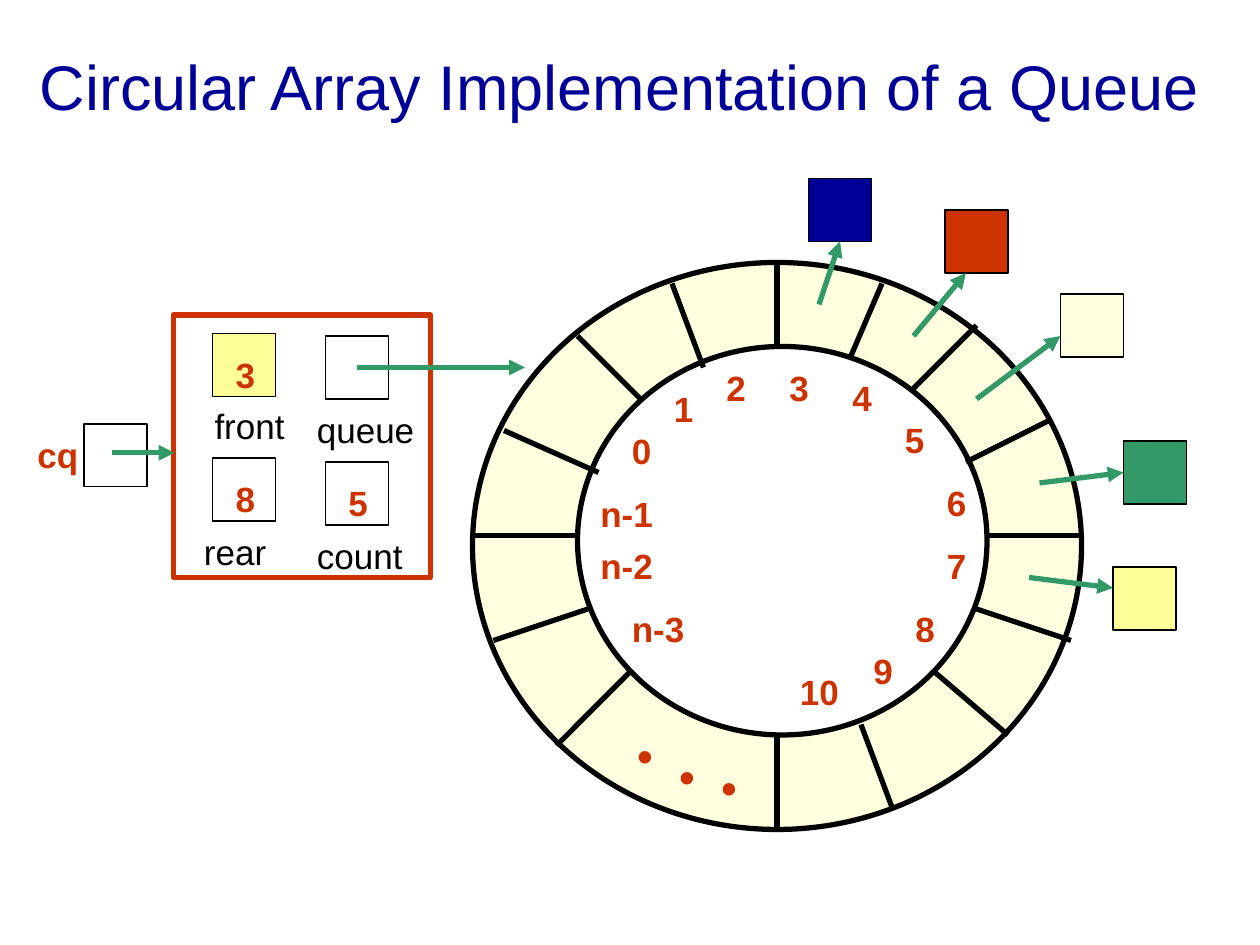
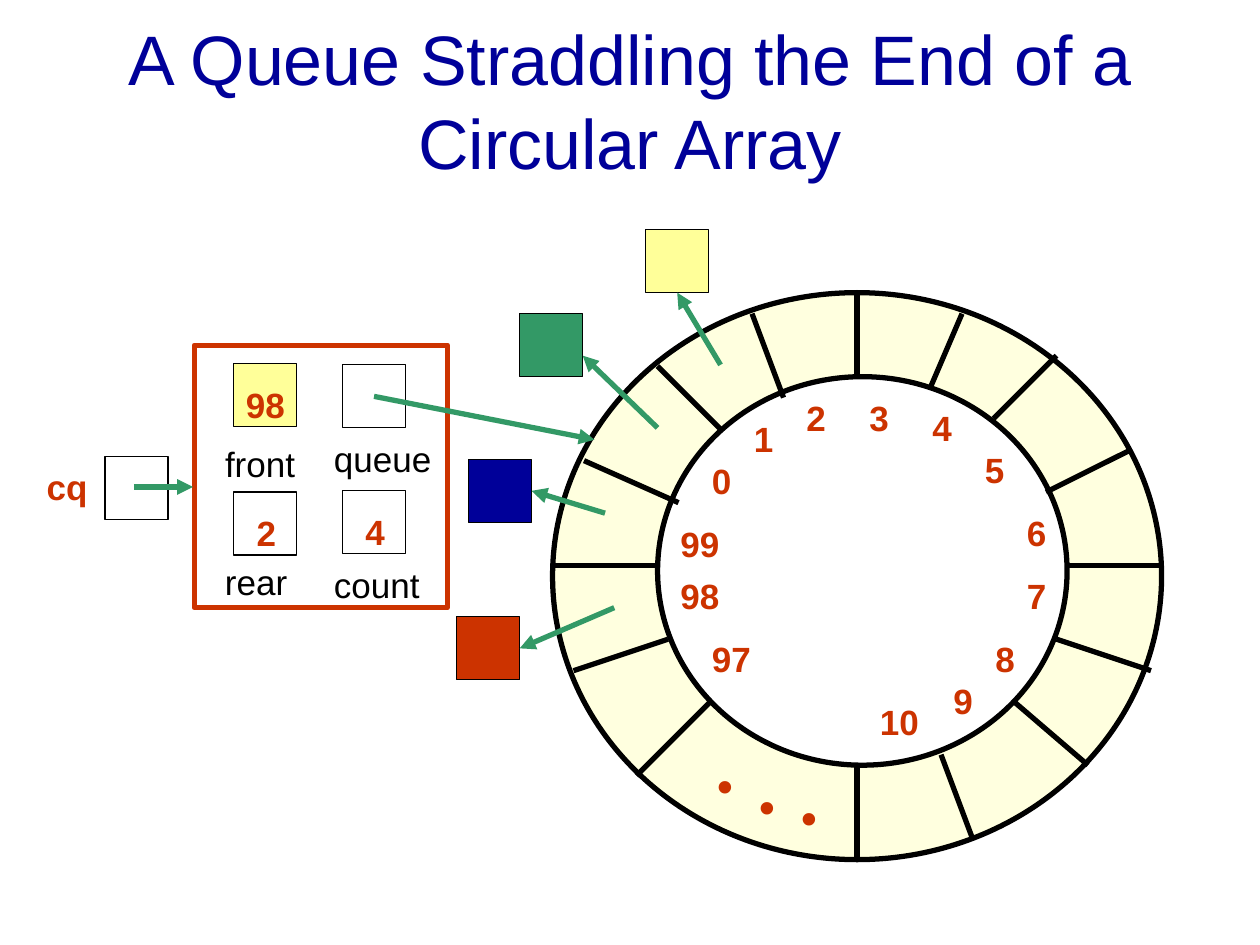
from dataclasses import dataclass

import pptx
import pptx.dml.color
import pptx.enum.shapes
import pptx.enum.text
import pptx.oxml.ns
import pptx.util
from lxml import etree

SHAPE = pptx.enum.shapes.MSO_SHAPE
STRAIGHT = pptx.enum.shapes.MSO_CONNECTOR.STRAIGHT
PX = 9525   # EMU in one px, 96 px to the inch
STEP = 8    # px in one step of the ring's grid
SQUARE = 48
LINE_HEIGHT = 41
BOTTOM, LEFT, RIGHT = 2, 1, 3   # connection sites of a rectangle


@dataclass(frozen=True)
class Theme:
    font: str = "Arial"
    dot_font: str = "Times New Roman"
    label_size: int = 20
    dot_size: int = 60
    thick: float = 3
    thin: float = 0.75
    black: str = "000000"
    white: str = "FFFFFF"
    navy: str = "000099"
    red: str = "CC3300"
    green: str = "339966"
    yellow: str = "FFFF99"
    ivory: str = "FFFFDF"


THEME = Theme()


@dataclass
class Field:
    """A square of the queue record, with its name and value."""
    name: str
    value: str
    square: tuple
    label: tuple
    label_width: int
    fill: str = None


@dataclass
class Item:
    """A queued object, with the arrow that reaches it from the ring."""
    fill: str
    square: tuple
    start: tuple
    tip: tuple
    side: int = None


# Ring geometry, in grid steps from the ring's top left corner
OUTER = (0, 0, 58, 54)
INNER = (10, 8, 39, 37)
SPOKES = [
    ((10, 26), (0, 26)), ((49, 26), (58, 26)), ((29, 0), (29, 8)),
    ((29, 45), (29, 54)), ((10, 7), (16, 13)), ((44, 39), (51, 45)),
    ((15, 39), (8, 46)), ((48, 6), (42, 12)), ((19, 2), (22, 10)),
    ((37, 44), (40, 52)), ((3, 16), (12, 20)), ((48, 33), (57, 36)),
    ((39, 2), (36, 9)), ((55, 15), (47, 19)), ((2, 36), (11, 33)),
]
INDEX_PLACES = [(14, 15), (18, 11), (23, 9), (29, 9), (35, 10), (40, 14),
                (44, 20), (44, 26), (41, 32), (37, 36), (30, 38)]
LAST_INDEX_PLACES = [(11, 21), (11, 26), (14, 32)]
DOT_PLACES = [(14, 36), (18, 38), (22, 39)]


def px(length):
    return pptx.util.Emu(length * PX)


def rgb(value):
    return pptx.dml.color.RGBColor.from_string(value)


def set_font(paragraph, size, color, name=THEME.font, bold=False):
    paragraph.font.name = name
    paragraph.font.size = pptx.util.Pt(size)
    paragraph.font.bold = bold
    paragraph.font.color.rgb = rgb(color)


def add_title(page, text, area, size):
    title = page.shapes.title
    title.left, title.top, title.width, title.height = map(px, area)
    frame = title.text_frame
    frame.text = text
    frame.word_wrap = True
    frame.auto_size = pptx.enum.text.MSO_AUTO_SIZE.NONE
    frame.vertical_anchor = pptx.enum.text.MSO_ANCHOR.MIDDLE
    para = frame.paragraphs[0]
    para.alignment = pptx.enum.text.PP_ALIGN.CENTER
    set_font(para, size, THEME.navy)


def add_text(page, text, place, width, color=THEME.red, bold=True,
             size=THEME.label_size, font=THEME.font, height=LINE_HEIGHT):
    box = page.shapes.add_textbox(*map(px, (*place, width, height)))
    frame = box.text_frame
    frame.word_wrap = True
    frame.margin_top = px(5 + size // 7)
    para = frame.paragraphs[0]
    para.text = text
    set_font(para, size, color, font, bold)


def add_outline(page, kind, area, fill=None, line=THEME.black, weight=THEME.thick):
    shape = page.shapes.add_shape(kind, *map(px, area))
    shape.shadow.inherit = False
    if fill:
        shape.fill.solid()
        shape.fill.fore_color.rgb = rgb(fill)
    else:
        shape.fill.background()
    shape.line.color.rgb = rgb(line)
    shape.line.width = pptx.util.Pt(weight)
    return shape


def add_square(page, place, fill=None):
    area = (*place, SQUARE, SQUARE)
    return add_outline(page, SHAPE.RECTANGLE, area, fill, weight=THEME.thin)


def add_line(page, start, end, color=THEME.black):
    line = page.shapes.add_connector(STRAIGHT, *map(px, (*start, *end)))
    line.line.color.rgb = rgb(color)
    line.line.width = pptx.util.Pt(THEME.thick)
    properties = line._element.spPr
    etree.SubElement(properties, pptx.oxml.ns.qn("a:effectLst"))
    return line


def add_arrow(page, start, tip):
    arrow = add_line(page, start, tip, THEME.green)
    outline = arrow.line._get_or_add_ln()
    etree.SubElement(outline, pptx.oxml.ns.qn("a:tailEnd"), type="triangle")
    return arrow


def add_ring(page, origin, last_indexes):
    def at(place):
        return tuple(start + STEP * steps for start, steps in zip(origin, place))

    # Ring and its cell borders
    for (left, top, width, height), fill in ((OUTER, THEME.ivory), (INNER, THEME.white)):
        area = (*at((left, top)), width * STEP, height * STEP)
        add_outline(page, SHAPE.OVAL, area, fill)
    for start, end in SPOKES:
        add_line(page, at(start), at(end))

    # Cell indexes, with dots for the cells left out
    for index, place in enumerate(INDEX_PLACES):
        add_text(page, str(index), at(place), 37 if index < 10 else 56)
    for name, place in zip(last_indexes, LAST_INDEX_PLACES):
        add_text(page, name, at(place), 72)
    for place in DOT_PLACES:
        add_text(page, ".", at(place), 32, bold=False, size=THEME.dot_size,
                 font=THEME.dot_font, height=106)


def add_record(page, area, fields, queue_arrow):
    add_outline(page, SHAPE.RECTANGLE, area, line=THEME.red)
    for field in fields:
        add_square(page, field.square, field.fill)
        add_text(page, field.name, field.label, field.label_width,
                 THEME.black, bold=False)
        if field.value:
            left, top = field.square
            single = len(field.value) == 1
            place = (left + 8 if single else left, top + 8)
            add_text(page, field.value, place, 37 if single else 56)
    add_arrow(page, *queue_arrow)


def add_items(page, items):
    for item in items:
        square = add_square(page, item.square, item.fill)
        arrow = add_arrow(page, item.start, item.tip)
        if item.side is not None:
            arrow.end_connect(square, item.side)


def add_reference(page, label, width, square, arrow):
    add_text(page, "cq", label, width)
    add_square(page, square)
    add_arrow(page, *arrow)


def add_page(deck):
    return deck.slides.add_slide(deck.slide_layouts[5])


def build_implementation(deck):
    page = add_page(deck)
    add_title(page, "Circular Array Implementation of a Queue", (0, 5, 944, 120), 36)
    add_ring(page, (360, 200), ("n-1", "n-2", "n-3"))
    add_record(page, (132, 240, 196, 200), [
        Field("front", "3", (162, 254), (154, 301), 80, THEME.yellow),
        Field("rear", "8", (162, 349), (146, 397), 88),
        Field("queue", "", (248, 256), (232, 304), 96),
        Field("count", "5", (248, 352), (232, 400), 96),
    ], ((272, 280), (400, 280)))
    add_items(page, [
        Item(THEME.navy, (616, 136), (624, 232), (640, 184), BOTTOM),
        Item(THEME.red, (720, 160), (696, 256), (736, 208)),
        Item(THEME.ivory, (808, 224), (744, 304), (808, 256)),
        Item(THEME.green, (856, 336), (792, 368), (856, 360), LEFT),
        Item(THEME.yellow, (848, 432), (784, 440), (848, 448)),
    ])
    add_reference(page, (19, 323), 71, (64, 323), ((85, 345), (133, 345)))


def build_straddling(deck):
    page = add_page(deck)
    add_title(page, "A Queue Straddling the End of a Circular Array",
              (72, 16, 816, 120), 40)
    add_ring(page, (421, 223), ("99", "98", "97"))
    add_record(page, (148, 263, 193, 200), [
        Field("front", "98", (178, 277), (162, 330), 80, THEME.yellow),
        Field("rear", "2", (178, 375), (162, 420), 88),
        Field("queue", "", (261, 278), (245, 326), 96),
        Field("count", "4", (261, 374), (245, 422), 96),
    ], ((285, 302), (453, 335)))
    add_items(page, [
        Item(THEME.navy, (357, 350), (461, 391), (405, 374), RIGHT),
        Item(THEME.red, (348, 470), (468, 463), (396, 494), RIGHT),
        Item(THEME.yellow, (492, 175), (549, 278), (516, 223), BOTTOM),
        Item(THEME.green, (396, 239), (501, 326), (444, 271)),
    ])
    add_reference(page, (26, 348), 90, (80, 348), ((102, 371), (147, 371)))


def main():
    deck = pptx.Presentation()
    deck.slide_width, deck.slide_height = px(960), px(720)
    build_implementation(deck)
    build_straddling(deck)
    deck.save("out.pptx")


if __name__ == "__main__":
    main()
